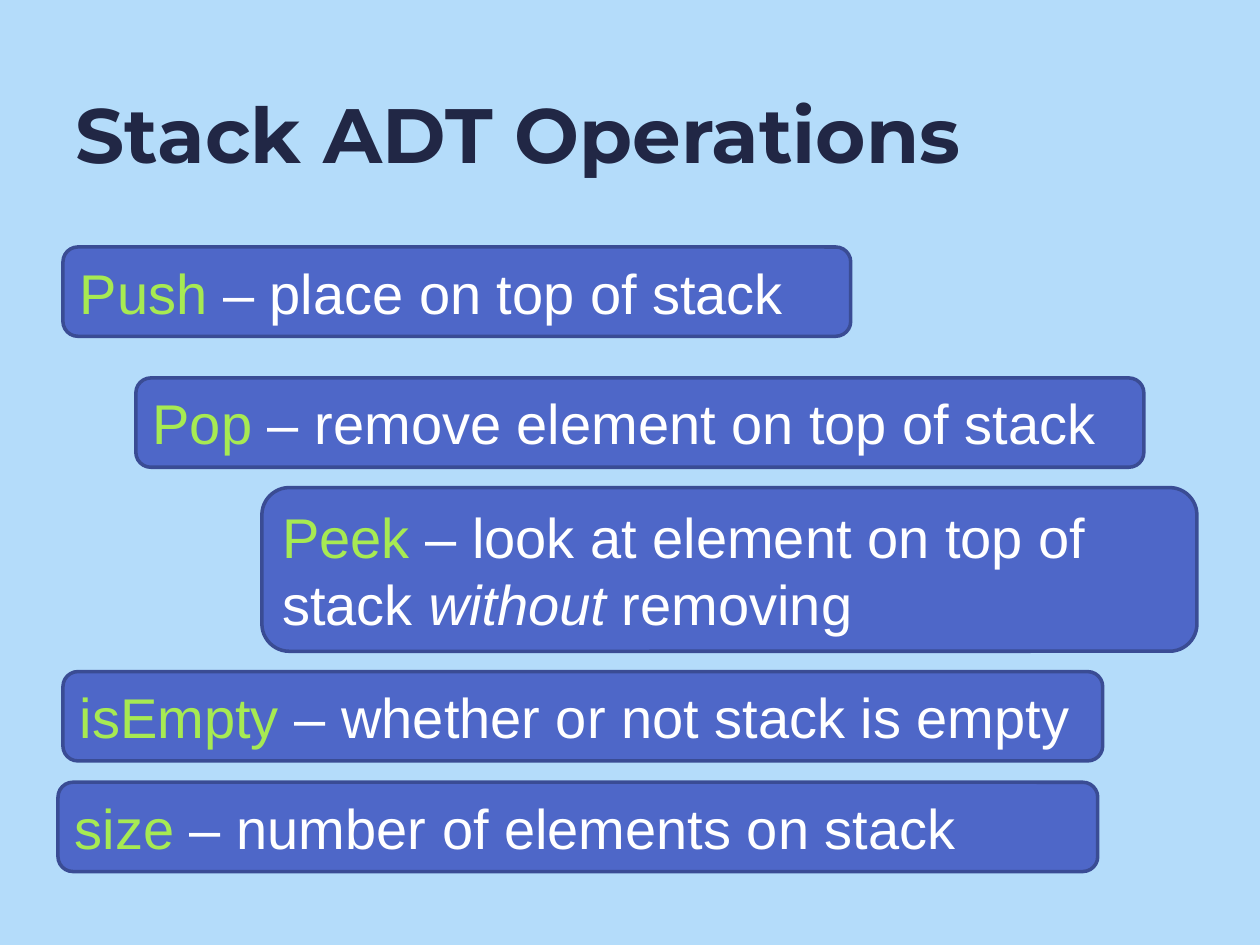
from dataclasses import dataclass
from typing import Any

from pptx import Presentation
from pptx import util as u
from pptx.dml.color import RGBColor
from pptx.enum import shapes, text

COLORS = {
    "background": "B4DCFA",
    "heading": "212745",
    "card": "4E67C8",
    "border": "3A4C94",
    "keyword": "A7EA52",
    "body": "FFFFFF",
}


def color(name):
    return RGBColor.from_string(COLORS[name])


def add_text(paragraph, wording, *, fill, size=32, font="Arial", bold=False, italic=False):
    run = paragraph.add_run()
    run.text = wording
    run.font.name = font
    run.font.size = u.Pt(size)
    run.font.bold = bold
    run.font.italic = italic
    run.font.color.rgb = color(fill)


@dataclass
class OperationsSlide:
    """Style and current slide for a list of operation cards."""

    slide: Any
    border_width: float = 2
    corner: float = 0.167

    def background(self):
        self.slide.background.fill.solid()
        self.slide.background.fill.fore_color.rgb = color("background")

    def left_paragraph(self, shape):
        frame = shape.text_frame
        frame.word_wrap = True
        frame.vertical_anchor = text.MSO_ANCHOR.MIDDLE
        paragraph = frame.paragraphs[0]
        paragraph.alignment = text.PP_ALIGN.LEFT
        return paragraph

    def heading(self, wording, left, top, width, height):
        heading = self.slide.shapes.add_textbox(*map(u.Cm, (left, top, width, height)))
        add_text(self.left_paragraph(heading), wording,
                 fill="heading", size=44, font="Montserrat", bold=True)

    def card(self, keyword, pieces, left, top, width, height=1.8):
        card = self.slide.shapes.add_shape(
            shapes.MSO_SHAPE.ROUNDED_RECTANGLE, *map(u.Cm, (left, top, width, height)))
        card.adjustments[0] = self.corner
        card.shadow.inherit = False
        card.fill.solid()
        card.fill.fore_color.rgb = color("card")
        card.line.color.rgb = color("border")
        card.line.width = u.Pt(self.border_width)
        paragraph = self.left_paragraph(card)
        add_text(paragraph, keyword, fill="keyword")
        for wording, italic in pieces:
            add_text(paragraph, wording, fill="body", italic=italic)


def main():
    deck = Presentation()
    deck.slide_width, deck.slide_height = u.Cm(25.4), u.Cm(19.05)
    stack = OperationsSlide(deck.slides.add_slide(deck.slide_layouts[6]))
    stack.background()
    stack.heading("Stack ADT Operations", 1.27, 0.69, 23.29, 3.99)
    stack.card("Push", [(" – place on top of stack", False)], 1.27, 4.98, 15.88)
    stack.card("Pop", [(" – remove element on top of stack", False)], 2.74, 7.62, 20.32)
    stack.card("Peek", [(" – look at element on top of stack ", False),
                        ("without", True), (" removing", False)],
               5.28, 9.83, 18.85, 3.3)
    stack.card("isEmpty", [(" – whether or not stack is empty", False)], 1.27, 13.54, 20.96)
    stack.card("size", [(" – number of elements on stack", False)], 1.17, 15.77, 20.96)
    deck.save("out.pptx")


if __name__ == "__main__":
    main()
